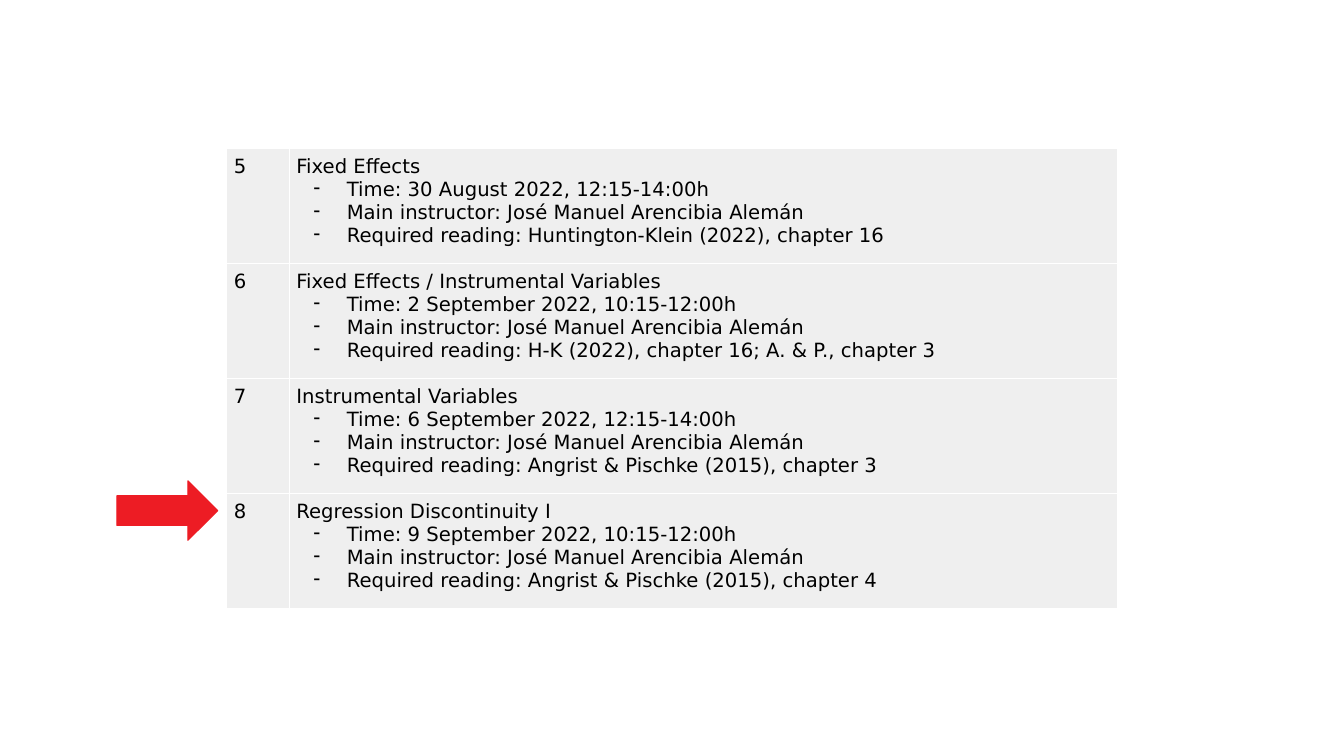
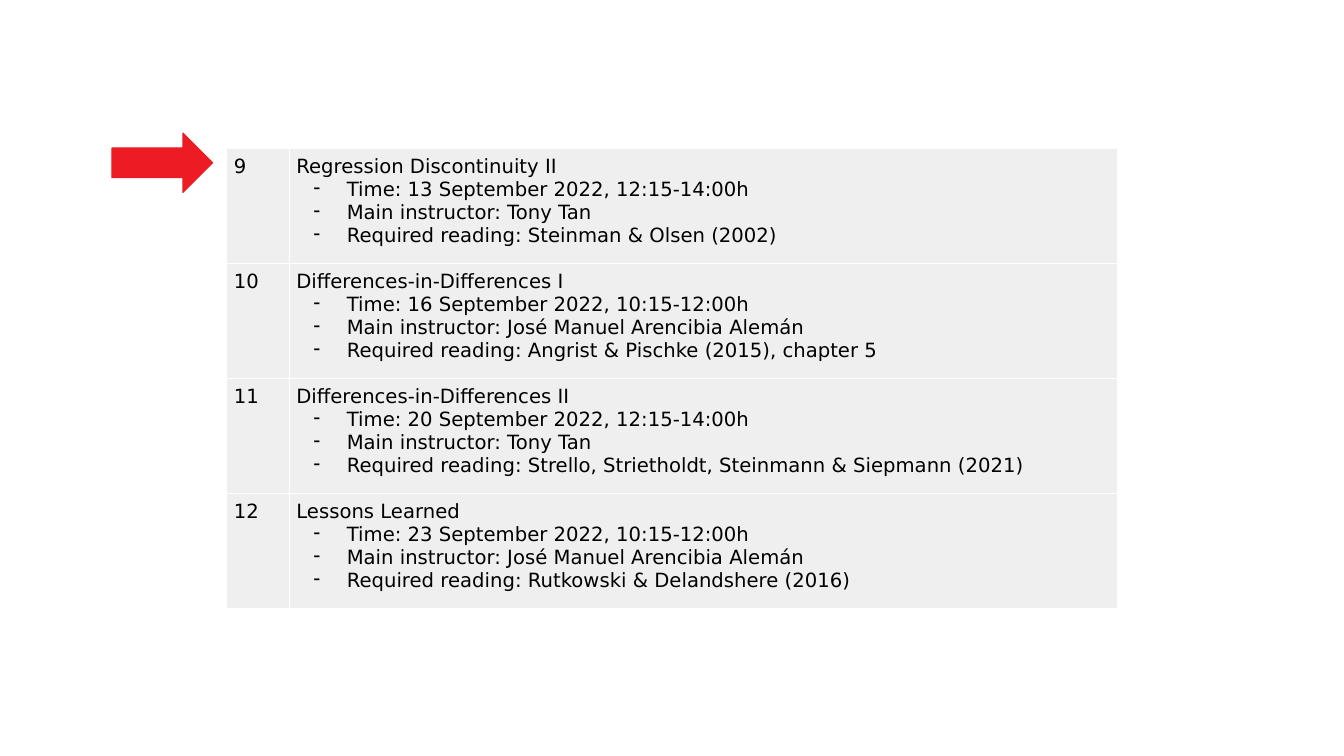
"""Build two course schedule slides, each with an arrow at the current session."""

import dataclasses

import lxml.etree
import pptx
import pptx.dml.color
import pptx.enum.shapes
import pptx.oxml.ns
import pptx.presentation
import pptx.slide
import pptx.table
import pptx.text.text
import pptx.util

Inches = pptx.util.Inches
Pt = pptx.util.Pt
RGBColor = pptx.dml.color.RGBColor
qn = pptx.oxml.ns.qn

BLACK = RGBColor(0x00, 0x00, 0x00)
WHITE = RGBColor(0xFF, 0xFF, 0xFF)
LIGHT_GREY = RGBColor(0xEF, 0xEF, 0xEF)
RED = RGBColor(0xED, 0x1C, 0x24)

TEXT_FORMAT = {"name": "DejaVu Sans", "size": Pt(14)}
TABLE_FORMAT = {"first_row": False, "horz_banding": False}
CELL_FORMAT = {
    f"margin_{side}": Inches(0.07) for side in ("left", "right", "top", "bottom")
}
BULLET_FORMAT = {"marL": Inches(0.5), "indent": Inches(-0.33)}

TABLE_BOX = (Inches(2.25), Inches(1.47), Inches(8.84), Inches(4.57))
COLUMN_WIDTHS = (Inches(0.62), Inches(8.22))
ARROW_SIZE = (Inches(1), Inches(0.59))
BORDER_WIDTH = Pt(1)

JOSE = "José Manuel Arencibia Alemán"
TONY = "Tony Tan"


@dataclasses.dataclass(frozen=True)
class Session:
    number: int
    topic: str
    time: str
    instructor: str
    reading: str

    def details(self) -> tuple[str, ...]:
        return (
            f"Time: {self.time}",
            f"Main instructor: {self.instructor}",
            f"Required reading: {self.reading}",
        )


@dataclasses.dataclass(frozen=True)
class Schedule:
    arrow_left: float
    arrow_top: float
    sessions: tuple[Session, ...]


SCHEDULES = (
    Schedule(1.16, 4.77, (
        Session(5, "Fixed Effects", "30 August 2022, 12:15-14:00h", JOSE,
                "Huntington-Klein (2022), chapter 16"),
        Session(6, "Fixed Effects / Instrumental Variables",
                "2 September 2022, 10:15-12:00h", JOSE,
                "H-K (2022), chapter 16; A. & P., chapter 3"),
        Session(7, "Instrumental Variables", "6 September 2022, 12:15-14:00h", JOSE,
                "Angrist & Pischke (2015), chapter 3"),
        Session(8, "Regression Discontinuity I", "9 September 2022, 10:15-12:00h", JOSE,
                "Angrist & Pischke (2015), chapter 4"),
    )),
    Schedule(1.11, 1.32, (
        Session(9, "Regression Discontinuity II", "13 September 2022, 12:15-14:00h", TONY,
                "Steinman & Olsen (2002)"),
        Session(10, "Differences-in-Differences I", "16 September 2022, 10:15-12:00h", JOSE,
                "Angrist & Pischke (2015), chapter 5"),
        Session(11, "Differences-in-Differences II", "20 September 2022, 12:15-14:00h", TONY,
                "Strello, Strietholdt, Steinmann & Siepmann (2021)"),
        Session(12, "Lessons Learned", "23 September 2022, 10:15-12:00h", JOSE,
                "Rutkowski & Delandshere (2016)"),
    )),
)


def apply_format(target: object, values: dict) -> None:
    for name, value in values.items():
        setattr(target, name, value)


def write_line(paragraph: pptx.text.text._Paragraph, text: str, dashed: bool) -> None:
    if dashed:
        properties = paragraph._p.get_or_add_pPr()
        for name, value in BULLET_FORMAT.items():
            properties.set(name, str(value))
        lxml.etree.SubElement(properties, qn("a:buChar"), char="-")
    run = paragraph.add_run()
    run.text = text
    apply_format(run.font, TEXT_FORMAT)
    run.font.color.rgb = BLACK


def add_borders(cell: pptx.table._Cell) -> None:
    properties = cell._tc.get_or_add_tcPr()
    for edge in ("lnL", "lnR", "lnT", "lnB"):
        border = lxml.etree.SubElement(properties, qn(f"a:{edge}"), w=str(BORDER_WIDTH))
        fill = lxml.etree.SubElement(border, qn("a:solidFill"))
        lxml.etree.SubElement(fill, qn("a:srgbClr"), val=str(WHITE))


def fill_cell(cell: pptx.table._Cell, heading: str, details: tuple[str, ...] = ()) -> None:
    apply_format(cell, CELL_FORMAT)
    add_borders(cell)
    cell.fill.solid()
    cell.fill.fore_color.rgb = LIGHT_GREY
    write_line(cell.text_frame.paragraphs[0], heading, dashed=False)
    for detail in details:
        write_line(cell.text_frame.add_paragraph(), detail, dashed=True)


def add_arrow(slide: pptx.slide.Slide, left: float, top: float) -> None:
    arrow = slide.shapes.add_shape(
        pptx.enum.shapes.MSO_SHAPE.RIGHT_ARROW, Inches(left), Inches(top), *ARROW_SIZE
    )
    arrow.shadow.inherit = False
    arrow.fill.solid()
    arrow.fill.fore_color.rgb = RED
    arrow.line.color.rgb = RED
    arrow.line.width = Pt(0.75)


def add_session_table(slide: pptx.slide.Slide, sessions: tuple[Session, ...]) -> None:
    table = slide.shapes.add_table(len(sessions), len(COLUMN_WIDTHS), *TABLE_BOX).table
    apply_format(table, TABLE_FORMAT)
    for column, width in zip(table.columns, COLUMN_WIDTHS):
        column.width = width
    for row, session in zip(table.rows, sessions):
        number_cell, topic_cell = row.cells
        fill_cell(number_cell, str(session.number))
        fill_cell(topic_cell, session.topic, session.details())


def add_schedule(deck: pptx.presentation.Presentation, schedule: Schedule) -> None:
    slide = deck.slides.add_slide(deck.slide_layouts[6])
    add_arrow(slide, schedule.arrow_left, schedule.arrow_top)
    add_session_table(slide, schedule.sessions)


def main() -> None:
    deck = pptx.Presentation()
    apply_format(deck, {"slide_width": Inches(13.33), "slide_height": Inches(7.5)})
    for schedule in SCHEDULES:
        add_schedule(deck, schedule)
    deck.save("out.pptx")


if __name__ == "__main__":
    main()
